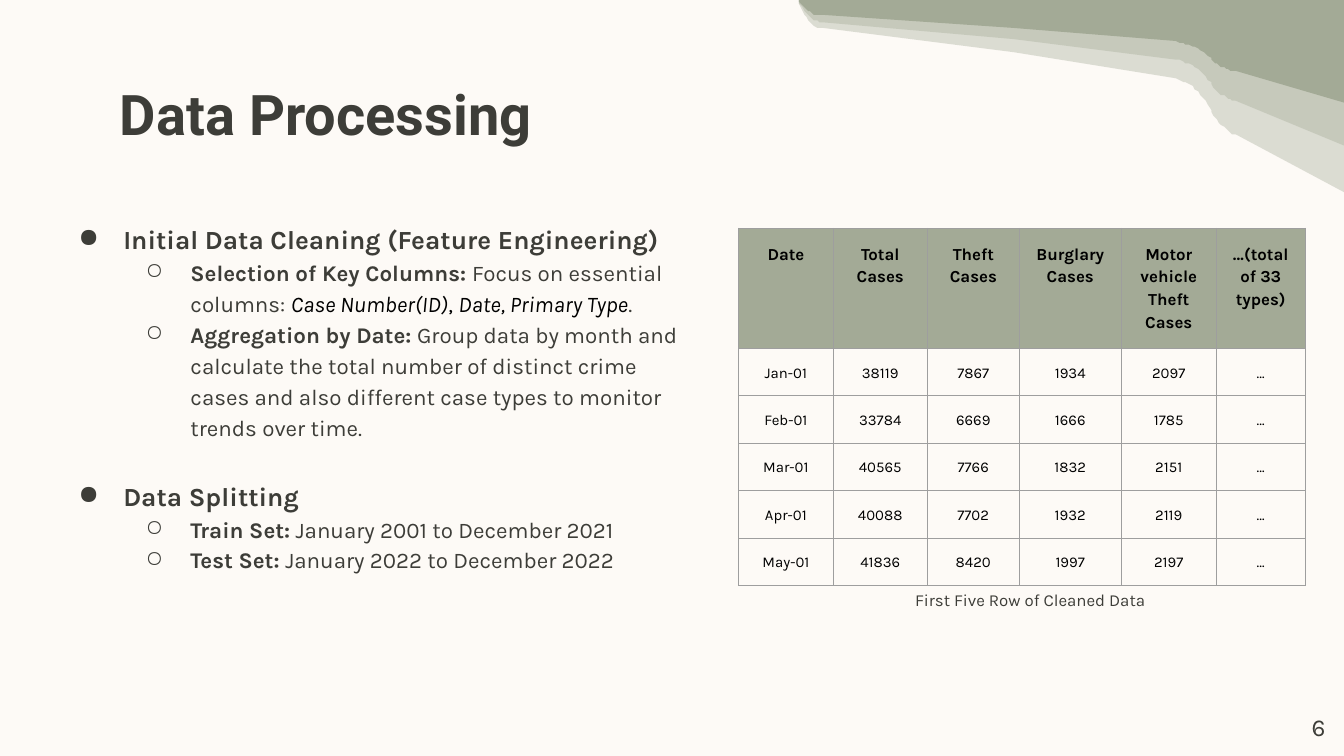
"""Build the Data Processing slide."""
import lxml.etree
import pptx
import pptx.dml.color
import pptx.enum.text
import pptx.oxml.ns
import pptx.util

Pt = pptx.util.Pt
qn = pptx.oxml.ns.qn
ALIGN = pptx.enum.text.PP_ALIGN
ANCHOR = pptx.enum.text.MSO_ANCHOR

COLORS = {"paper": "FDFAF6", "sage": "A3AA96", "ink": "3D3D38",
          "black": "000000", "grid": "9E9E9E"}

WAVE_LEFT, WAVE_RIGHT = 427.7, 720
WAVE_DEPTHS = [(103, 37), (77.8, 37), (54.7, 100)]
WAVE_EDGE = [
    [(661.7, 0.7)],
    [(656.6, 0.68), (651.6, 0.63), (648.7, 0.57)],
    [(643.7, 0.48), (637.2, 0.43), (630, 0.41)],
    [(542.9, 0.27)],
    [(440.6, 0.15)],
    [(434.9, 0.15), (429.8, 0.08), (WAVE_LEFT, 0)],
]

HEADING = {"marL": 36, "indent": -24, "bullet": "●", "level": 0}
DETAIL = {"marL": 72, "indent": -24, "bullet": "○", "level": 1}
TOPICS = [
    (HEADING, 0, [("Initial Data Cleaning (Feature Engineering)", {"size": Pt(14), "bold": True})]),
    (DETAIL, 0, [("Selection of Key Columns: ", {"bold": True}),
                 ("Focus on essential columns: ", {}),
                 ("Case Number(ID)", {"italic": True, "color": "black"}),
                 (", ", {"color": "black"}),
                 ("Date, Primary Type", {"italic": True, "color": "black"}),
                 (".", {})]),
    (DETAIL, 0, [("Aggregation by Date:", {"bold": True}),
                 (" Group data by month and calculate the total number of distinct crime cases "
                  "and also different case types to monitor trends over time.", {})]),
    (HEADING, 18.8, [("Data Splitting", {"size": Pt(14), "bold": True})]),
    (DETAIL, 0, [("Train Set:", {"bold": True}), (" January 2001 to December 2021", {})]),
    (DETAIL, 0, [("Test Set: ", {"bold": True}), ("January 2022 to December 2022", {})]),
]

COLUMN_WIDTHS = [50.7, 50.4, 49.3, 54.6, 50.9, 47.7]
HEADER_HEIGHT, ROW_HEIGHT = 63.2, 25.1
CASES = [
    ["Date", "Total Cases", "Theft Cases", "Burglary Cases",
     "Motor vehicle Theft Cases", "…(total of 33 types)"],
    ["Jan-01", "38119", "7867", "1934", "2097", "…"],
    ["Feb-01", "33784", "6669", "1666", "1785", "…"],
    ["Mar-01", "40565", "7766", "1832", "2151", "…"],
    ["Apr-01", "40088", "7702", "1932", "2119", "…"],
    ["May-01", "41836", "8420", "1997", "2197", "…"],
]


def apply(target, values):
    """Set each named attribute of the target."""
    for name, value in values.items():
        setattr(target, name, value)


def rgb(name):
    """Return the named colour."""
    return pptx.dml.color.RGBColor.from_string(COLORS[name])


def edge_points(depth):
    """Trace the lower edge of a wave from right to left."""
    points = [(WAVE_RIGHT, depth)]
    for segment in WAVE_EDGE:
        scaled = [(x, y * depth) for x, y in segment]
        if len(scaled) == 1:
            points += scaled
            continue
        controls = [points[-1], *scaled]
        for step in range(1, 13):
            t = step / 12
            weights = [(1 - t) ** 3, 3 * t * (1 - t) ** 2, 3 * t * t * (1 - t), t ** 3]
            points.append(tuple(sum(w * c[axis] for w, c in zip(weights, controls))
                                for axis in (0, 1)))
    return points


class SlideStyle:
    """Hold the style and the current slide."""

    font = "Karla"
    frame = {"word_wrap": True, "margin_left": Pt(7.2), "margin_right": Pt(7.2),
             "margin_top": Pt(7.2), "margin_bottom": Pt(7.2),
             "vertical_anchor": ANCHOR.TOP}

    def __init__(self, slide):
        """Take the slide and colour its background."""
        self.slide = slide
        slide.background.fill.solid()
        slide.background.fill.fore_color.rgb = rgb("paper")

    def run(self, paragraph, text, color="ink", **values):
        """Add one formatted run."""
        piece = paragraph.add_run()
        piece.text = text
        apply(piece.font, {"name": self.font, "bold": False, "italic": False, **values})
        piece.font.color.rgb = rgb(color)

    def title(self, text, left, top, width, height):
        """Place and format the title."""
        heading = self.slide.shapes.title
        apply(heading, {"left": Pt(left), "top": Pt(top),
                        "width": Pt(width), "height": Pt(height)})
        apply(heading.text_frame, self.frame)
        heading.text_frame.auto_size = pptx.enum.text.MSO_AUTO_SIZE.NONE
        paragraph = heading.text_frame.paragraphs[0]
        paragraph.alignment = ALIGN.LEFT
        self.run(paragraph, text, name="Roboto", size=Pt(30), bold=True)

    def text_frame(self, left, top, width, height, **values):
        """Add a text box and return its frame."""
        frame = self.slide.shapes.add_textbox(Pt(left), Pt(top), Pt(width), Pt(height)).text_frame
        apply(frame, {**self.frame, **values})
        return frame

    def label(self, text, box, size, alignment, spacing, **values):
        """Add a single line of text."""
        paragraph = self.text_frame(*box, **values).paragraphs[0]
        apply(paragraph, {"alignment": alignment, "line_spacing": spacing})
        self.run(paragraph, text, size=Pt(size))

    def outline(self, topics, box):
        """Add a bulleted two-level list."""
        frame = self.text_frame(*box)
        for number, (kind, gap, runs) in enumerate(topics):
            paragraph = frame.add_paragraph() if number else frame.paragraphs[0]
            apply(paragraph, {"level": kind["level"], "line_spacing": 1.15,
                              "space_before": Pt(gap)})
            properties = paragraph._p.get_or_add_pPr()
            for name in ("marL", "indent"):
                properties.set(name, str(Pt(kind[name])))
            tint = lxml.etree.SubElement(properties, qn("a:buClr"))
            lxml.etree.SubElement(tint, qn("a:srgbClr"), val=COLORS["ink"])
            lxml.etree.SubElement(properties, qn("a:buChar"), char=kind["bullet"])
            for text, values in runs:
                self.run(paragraph, text, **{"size": Pt(12), **values})

    def wave(self, depth, opacity):
        """Add one corner wave."""
        builder = self.slide.shapes.build_freeform(WAVE_LEFT, 0, scale=Pt(1))
        builder.add_line_segments([(WAVE_RIGHT, 0), *edge_points(depth)], close=True)
        wave = builder.convert_to_shape()
        wave.shadow.inherit = False
        wave.line.fill.background()
        wave.fill.solid()
        wave.fill.fore_color.rgb = rgb("sage")
        if opacity < 100:
            tint = wave.fill._xPr.find(".//" + qn("a:srgbClr"))
            lxml.etree.SubElement(tint, qn("a:alpha"), val=str(opacity * 1000))

    def borders(self, cell):
        """Draw thin grid lines around a cell."""
        properties = cell._tc.get_or_add_tcPr()
        for side in ("a:lnL", "a:lnR", "a:lnT", "a:lnB"):
            line = lxml.etree.SubElement(properties, qn(side), w=str(Pt(0.75)))
            fill = lxml.etree.SubElement(line, qn("a:solidFill"))
            lxml.etree.SubElement(fill, qn("a:srgbClr"), val=COLORS["grid"])

    def table(self, rows, left, top):
        """Add a table with a filled header row."""
        heights = [HEADER_HEIGHT] + [ROW_HEIGHT] * (len(rows) - 1)
        grid = self.slide.shapes.add_table(
            len(rows), len(COLUMN_WIDTHS), Pt(left), Pt(top),
            Pt(sum(COLUMN_WIDTHS)), Pt(sum(heights))).table
        apply(grid, {"first_row": False, "horz_banding": False})
        for column, width in zip(grid.columns, COLUMN_WIDTHS):
            column.width = Pt(width)
        margins = {name: value for name, value in self.frame.items() if name != "word_wrap"}
        for r, (values, height) in enumerate(zip(rows, heights)):
            grid.rows[r].height = Pt(height)
            for c, text in enumerate(values):
                cell = grid.cell(r, c)
                apply(cell, margins)
                self.borders(cell)
                if r == 0:
                    cell.fill.solid()
                    cell.fill.fore_color.rgb = rgb("sage")
                else:
                    cell.fill.background()
                paragraph = cell.text_frame.paragraphs[0]
                apply(paragraph, {"alignment": ALIGN.CENTER, "line_spacing": 1.15})
                self.run(paragraph, text, "black", size=Pt(8 if r else 9), bold=r == 0)


def main():
    """Build and save the deck."""
    deck = pptx.Presentation()
    apply(deck, {"slide_width": Pt(720), "slide_height": Pt(405)})
    page = SlideStyle(deck.slides.add_slide(deck.slide_layouts.get_by_name("Title Only")))
    for depth, opacity in WAVE_DEPTHS:
        page.wave(depth, opacity)
    page.title("Data Processing", 57, 35.3, 607, 45.4)
    page.outline(TOPICS, (23, 110.2, 355, 211))
    page.label("6", (674, 373.7, 43.2, 31), 13, ALIGN.RIGHT, 1, vertical_anchor=ANCHOR.MIDDLE)
    page.table(CASES, 395.7, 122.4)
    page.label("First Five Row of Cleaned Data", (460, 308.2, 183.6, 25.2), 9, ALIGN.CENTER, 1.15)
    deck.save("out.pptx")


if __name__ == "__main__":
    main()
